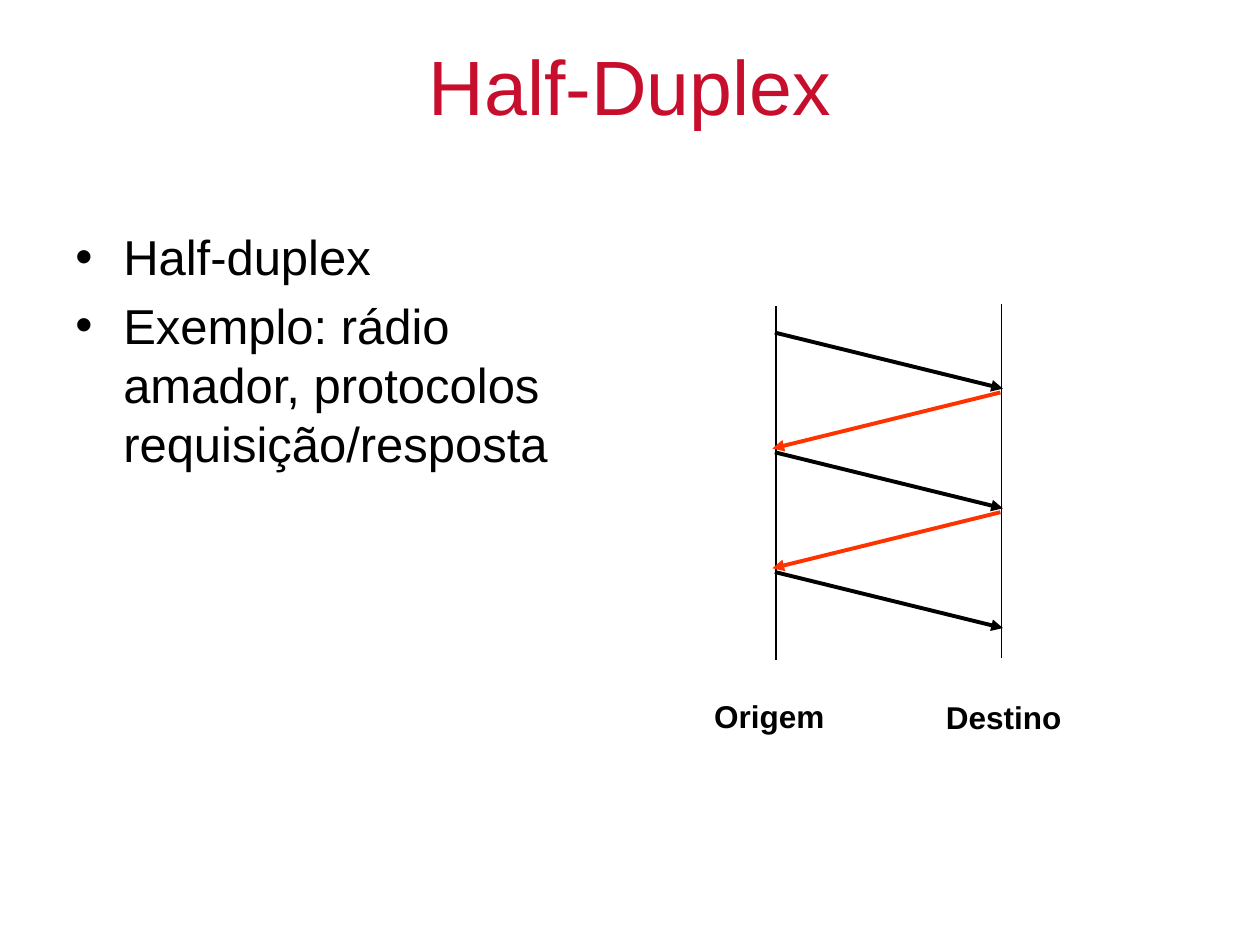
"""Builds the Half-Duplex slide: a title, two bullets and a message exchange."""
from lxml.etree import SubElement
from pptx import Presentation
from pptx.dml.color import RGBColor
from pptx.enum.shapes import MSO_CONNECTOR
from pptx.enum.text import MSO_ANCHOR, PP_ALIGN
from pptx.oxml.ns import qn
from pptx.util import Inches, Pt

HUES = {"title": "C80E2D", "ink": "000000", "reply": "FF3300"}

deck = Presentation()
deck.slide_width, deck.slide_height = Inches(10), Inches(7.5)
col, row = deck.slide_width / 100, deck.slide_height / 75
slide = deck.slides.add_slide(deck.slide_layouts[5])


def style(para, hue, **form):
    para.font.color.rgb = RGBColor.from_string(HUES[hue])
    for key, val in {"name": "Arial", **form}.items():
        setattr(para.font, key, val)


def draw(x1, y1, x2, y2, hue, width, head=False):
    ends = [int(n) for n in (x1 * col, y1 * row, x2 * col, y2 * row)]
    line = slide.shapes.add_connector(MSO_CONNECTOR.STRAIGHT, *ends)
    line.line.color.rgb = RGBColor.from_string(HUES[hue])
    line.line.width = Pt(width)
    if head:
        SubElement(line.line._get_or_add_ln(), qn("a:tailEnd"), type="triangle")
    SubElement(line._element.spPr, qn("a:effectLst"))


title = slide.shapes.title
place = {"left": 5 * col, "top": 0.5 * row, "width": 90 * col, "height": 12.5 * row}
for key, val in place.items():
    setattr(title, key, int(val))
title.text_frame.text = "Half-Duplex"
title.text_frame.vertical_anchor = MSO_ANCHOR.MIDDLE
title.text_frame.paragraphs[0].alignment = PP_ALIGN.CENTER
style(title.text_frame.paragraphs[0], "title", size=Pt(44))

body = slide.shapes.add_textbox(
    int(5 * col), int(17.5 * row), int(44.2 * col), int(49.5 * row)
).text_frame
body.word_wrap = True
body.text = "Half-duplex\nExemplo: rádio amador, protocolos requisição/resposta"
for i, para in enumerate(body.paragraphs):
    para.space_before = Pt(5.6 * i)
    props = para._p.get_or_add_pPr()
    props.set("marL", str(Inches(0.38)))
    props.set("indent", str(-Inches(0.38)))
    SubElement(props, qn("a:buFont"), typeface="Arial")
    SubElement(props, qn("a:buChar"), char="•")
    style(para, "ink", size=Pt(28))

hosts = [("Origem", 61.6, 24.3, 55.7, 54.8), ("Destino", 79.5, 24.1, 74.1, 54.9)]
for name, x, top, left, base in hosts:
    draw(x, top, x, top + 28.1, "ink", 0.75)
    label = slide.shapes.add_textbox(
        int(left * col), int(base * row), int(11.4 * col), int(4 * row)
    ).text_frame
    label.word_wrap = True
    label.text = name
    style(label.paragraphs[0], "ink", size=Pt(18), bold=True)

for i in (0, 2, 4, 1, 3):
    y = 26.4 + 4.75 * i
    if i % 2:
        draw(79.4, y, 61.3, y + 4.45, "reply", 2.25, True)
    else:
        draw(61.5, y, 79.6, y + 4.45, "ink", 2.25, True)

deck.save("out.pptx")
